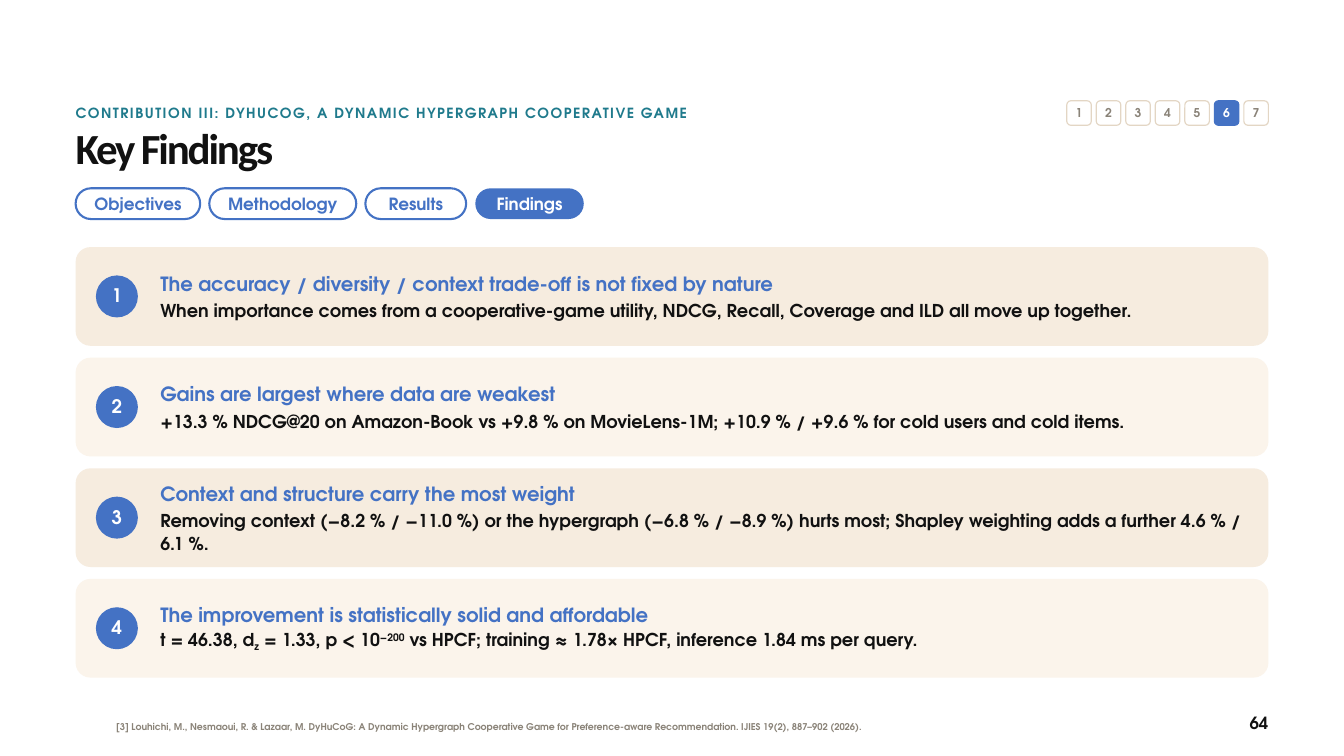
from dataclasses import dataclass

from pptx import Presentation
from pptx.dml.color import RGBColor as RGB
from pptx.enum.shapes import MSO_SHAPE as Kind
from pptx.enum.text import MSO_ANCHOR as Anchor, MSO_AUTO_SIZE as Fit, PP_ALIGN as Align
from pptx.util import Pt

PX = 9525  # EMU in one px, 96 px to the inch


@dataclass(frozen=True)
class Theme:
    # Colours
    blue: str = "4472C4"
    teal: str = "1F7A8C"
    ink: str = "111111"
    grey: str = "8A8378"
    edge: str = "E3D6C4"
    white: str = "FFFFFF"
    cards: tuple = ("F6ECDF", "FBF4EB")
    # Fonts
    head: str = "Calibri"
    sans: str = "TeX Gyre Adventor"
    # Type sizes: size and line height in points
    title: tuple = (46, 50.6)
    kick: tuple = (15, 20)
    step: tuple = (13, 15)
    pill: tuple = (18, 21.6)
    badge: tuple = (20, 22)
    lead: tuple = (21, 25)
    body: tuple = (19, 24)
    note: tuple = (10, 12)
    page: tuple = (18, 22)


T = Theme()

STEPS = 7
STEP_NOW = 6
PILLS = [("Objectives", 178), ("Methodology", 210), ("Results", 144), ("Findings", 155)]
PILL_NOW = "Findings"

# Each finding: heading, then runs of (text, baseline shift in percent)
FINDINGS = [
    ("The accuracy / diversity / context trade-off is not fixed by nature",
     [("When importance comes from a cooperative-game utility, NDCG, Recall, "
       "Coverage and ILD all move up together.", 0)]),
    ("Gains are largest where data are weakest",
     [("+13.3 % NDCG@20 on Amazon-Book vs +9.8 % on MovieLens-1M; "
       "+10.9 % / +9.6 % for cold users and cold items.", 0)]),
    ("Context and structure carry the most weight",
     [("Removing context (−8.2 % / −11.0 %) or the hypergraph (−6.8 % / −8.9 %) "
       "hurts most; Shapley weighting adds a further 4.6 % / 6.1 %.", 0)]),
    ("The improvement is statistically solid and affordable",
     [("t = 46.38, d", 0), ("z", -25), (" = 1.33, p < 10", 0), ("−200", 30),
      (" vs HPCF; training ≈ 1.78× HPCF, inference 1.84 ms per query.", 0)]),
]


def emu(*box):
    return [round(v * PX) for v in box]


def frame(shape, anchor=Anchor.TOP, side=0):
    """Set up the text frame and return its first paragraph."""
    text = shape.text_frame
    form = dict(word_wrap=True, auto_size=Fit.NONE, vertical_anchor=anchor,
                margin_left=side * PX, margin_right=side * PX,
                margin_top=0, margin_bottom=0)
    for key, val in form.items():
        setattr(text, key, val)
    return text.paragraphs[0]


def write(para, runs, style, color, align=Align.LEFT, face=T.sans, track=0, before=0):
    """Fill a paragraph with a string or with (text, shift) runs."""
    size, line = style
    form = dict(alignment=align, line_spacing=Pt(line), space_before=Pt(before))
    for key, val in form.items():
        setattr(para, key, val)
    for words, shift in [(runs, 0)] if isinstance(runs, str) else runs:
        run = para.add_run()
        run.text = words
        for key, val in dict(size=Pt(size), name=face, bold=True).items():
            setattr(run.font, key, val)
        run.font.color.rgb = RGB.from_string(color)
        props = run._r.get_or_add_rPr()
        for key, val in dict(spc=track * 100, baseline=shift * 1000).items():
            if val:
                props.set(key, str(round(val)))


def label(slide, box, words, style, color, anchor=Anchor.TOP, **form):
    shape = slide.shapes.add_textbox(*emu(*box))
    write(frame(shape, anchor), words, style, color, **form)


def block(slide, kind, box, fill=None, line=None, width=1, bend=None):
    """Add a flat preset shape."""
    shape = slide.shapes.add_shape(kind, *emu(*box))
    shape.shadow.inherit = False
    if bend is not None:
        shape.adjustments[0] = bend
    if fill:
        shape.fill.solid()
        shape.fill.fore_color.rgb = RGB.from_string(fill)
    else:
        shape.fill.background()
    if line:
        shape.line.color.rgb = RGB.from_string(line)
        shape.line.width = Pt(width)
    else:
        shape.line.fill.background()
    return shape


def header(slide, x, y, w):
    # Kicker
    label(slide, (x, y, 1358, 35),
          "CONTRIBUTION III: DYHUCOG, A DYNAMIC HYPERGRAPH COOPERATIVE GAME",
          T.kick, T.teal, track=1.6)
    # Title
    title = slide.shapes.title
    title.left, title.top, title.width, title.height = emu(x, y + 34, w, 77)
    write(frame(title), "Key Findings", T.title, T.ink, face=T.head, track=-2.3)


def steps(slide, x, y, w, size):
    pitch = (w - size) / (STEPS - 1)
    for i in range(STEPS):
        now = i + 1 == STEP_NOW
        box = block(slide, Kind.ROUNDED_RECTANGLE, (x + i * pitch, y, size, size),
                    T.blue if now else T.white, T.blue if now else T.edge, 1.25, 0.167)
        write(frame(box, Anchor.MIDDLE), str(i + 1), T.step,
              T.white if now else T.grey, Align.CENTER)


def pills(slide, x, y, h, gap):
    for name, w in PILLS:
        now = name == PILL_NOW
        pill = block(slide, Kind.ROUNDED_RECTANGLE, (x, y, w, h),
                     T.blue if now else None, None if now else T.blue, 2.25, 0.5)
        write(frame(pill, Anchor.MIDDLE, 5), name, T.pill,
              T.white if now else T.blue, Align.CENTER)
        x += w + gap


def card(slide, x, y, w, h, num, lead, body):
    block(slide, Kind.ROUNDED_RECTANGLE, (x, y, w, h),
          T.cards[(num - 1) % 2], bend=0.15)
    # Number badge
    size = 60
    badge = block(slide, Kind.OVAL, (x + 29, y + (h - size) / 2, size, size), T.blue)
    write(frame(badge, Anchor.MIDDLE), str(num), T.badge, T.white, Align.CENTER)
    # Heading and detail
    text = slide.shapes.add_textbox(*emu(x + 121, y + 12, w - 154, h - 24))
    write(frame(text, Anchor.MIDDLE), lead, T.lead, T.blue)
    write(text.text_frame.add_paragraph(), body, T.body, T.ink, before=4)


def cards(slide, x, y, w, h, gap):
    for i, (lead, body) in enumerate(FINDINGS):
        card(slide, x, y + i * (h + gap), w, h, i + 1, lead, body)


def footer(slide, x, y, w):
    # Citation
    label(slide, (x + 58, y, 1522, 60),
          "[3] Louhichi, M., Nesmaoui, R. & Lazaar, M. DyHuCoG: A Dynamic Hypergraph "
          "Cooperative Game for Preference-aware Recommendation. "
          "IJIES 19(2), 887–902 (2026).", T.note, T.grey, Anchor.MIDDLE)
    # Page number
    label(slide, (x + w - 115, y + 10, 115, 35), "64", T.page, T.ink, align=Align.RIGHT)


def main():
    deck = Presentation()
    deck.slide_width, deck.slide_height = emu(1920, 1080)
    slide = deck.slides.add_slide(deck.slide_layouts[5])
    left, wide = 108, 1704
    header(slide, left, 146, wide)
    steps(slide, 1524, 144, 288, 35)
    pills(slide, left, 269, 44, 13)
    cards(slide, left, 353, wide, 141, 17)
    footer(slide, left, 1008, wide)
    deck.save("out.pptx")


if __name__ == "__main__":
    main()
